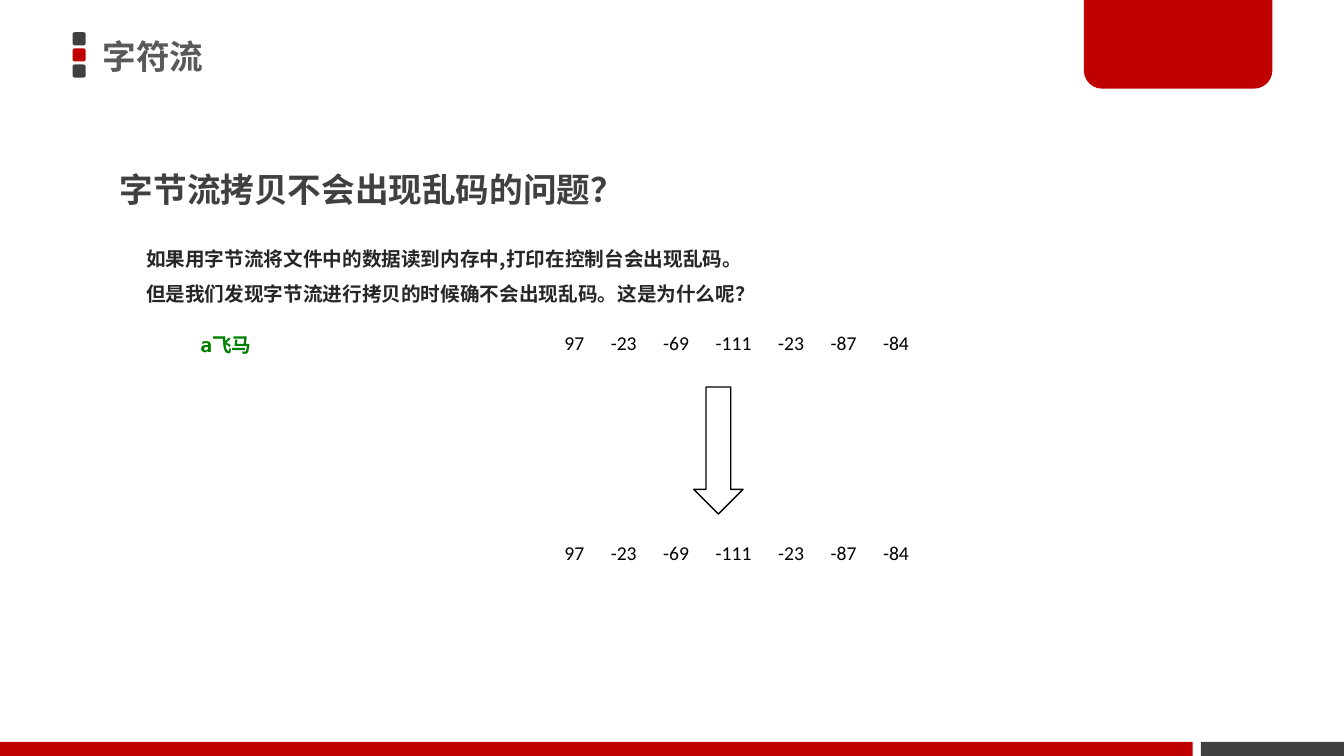
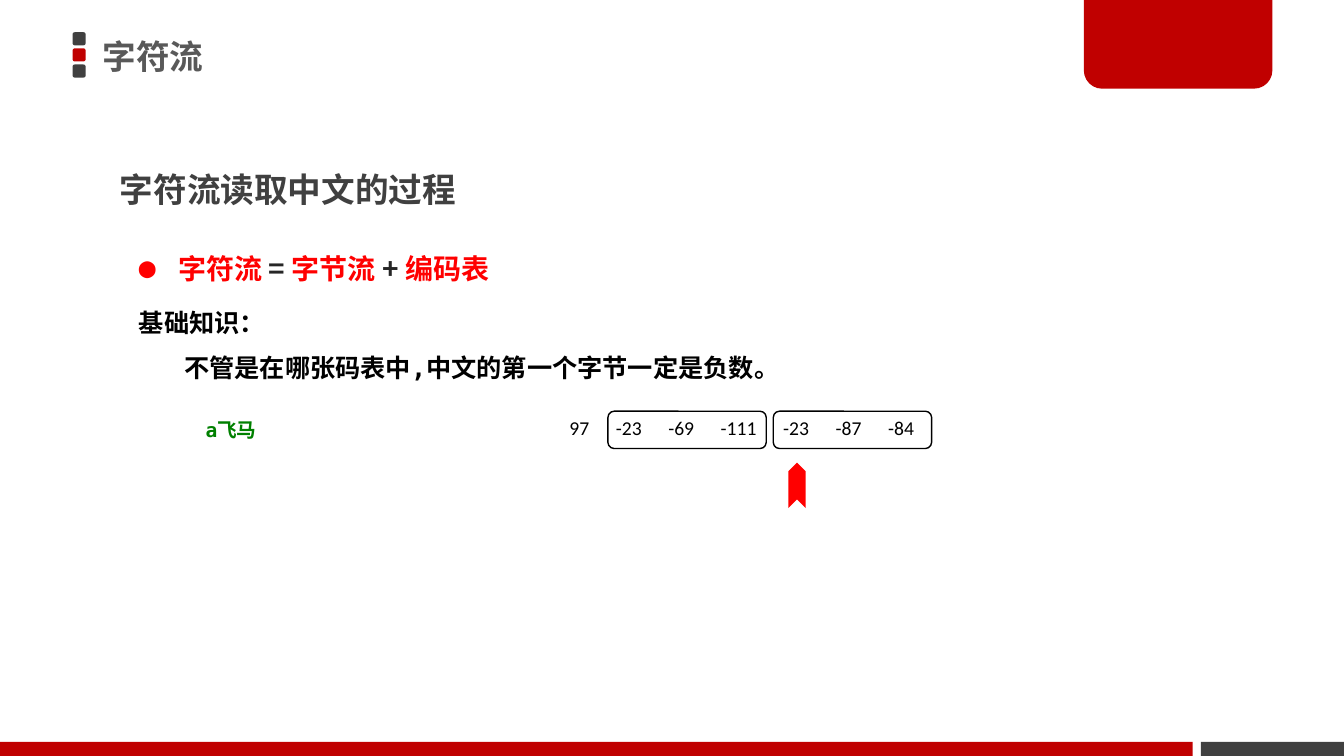
from lxml import etree
from pptx import Presentation
from pptx.dml.color import RGBColor
from pptx.enum.shapes import MSO_SHAPE
from pptx.enum.text import MSO_ANCHOR, PP_ALIGN
from pptx.oxml.ns import qn
from pptx.util import Inches, Pt

RECT = MSO_SHAPE.RECTANGLE
ROUND = MSO_SHAPE.ROUNDED_RECTANGLE
TAB = MSO_SHAPE.ROUND_2_SAME_RECTANGLE
DOWN = MSO_SHAPE.DOWN_ARROW
CHEVRON = MSO_SHAPE.CHEVRON
TOP, MIDDLE = MSO_ANCHOR.TOP, MSO_ANCHOR.MIDDLE
LEFT = PP_ALIGN.LEFT

RED, DARK, GREY = "C00000", "404040", "595959"
INK, BLACK, WHITE = "262626", "000000", "FFFFFF"
BRIGHT, GREEN = "FF0000", "008000"
SANS, MONO, PLAIN = "Noto Sans CJK JP", "DejaVu Sans Mono", "Calibri"

TITLE = "字符流"
SAMPLE = "a飞马"
BYTES = [97, -23, -69, -111, -23, -87, -84]
# Tab stops: two groups of three bytes after the first number
STOPS = [start + 0.52 * i for start in (0.46, 2.12) for i in range(3)]


def color(code):
    return RGBColor.from_string(code)


def put(frame, paras, size=14, font=SANS, ink=BLACK, bold=True,
        space=1.0, anchor=TOP, indents=(), bullet=None, stops=()):
    """Each paragraph is a string or a list of (words, colour) runs."""
    frame.word_wrap = True
    frame.vertical_anchor = anchor
    for i, runs in enumerate(paras):
        para = frame.paragraphs[0] if i == 0 else frame.add_paragraph()
        para.alignment = LEFT
        para.line_spacing = space
        props = para._p.get_or_add_pPr()
        if indents:
            props.set("marL", str(Inches(indents[i])))
        if bullet:
            props.set("indent", str(-Inches(indents[i])))
            etree.SubElement(props, qn("a:buFont"), typeface=MONO)
            etree.SubElement(props, qn("a:buChar"), char=bullet)
        if stops:
            tabs = etree.SubElement(props, qn("a:tabLst"))
            for stop in stops:
                etree.SubElement(tabs, qn("a:tab"),
                                 pos=str(Inches(stop)), algn="l")
        for words, tint in [(runs, ink)] if isinstance(runs, str) else runs:
            run = para.add_run()
            run.text = words
            run.font.size = Pt(size)
            run.font.bold = bold
            run.font.name = font
            run.font.color.rgb = color(tint)
            etree.SubElement(run._r.get_or_add_rPr(), qn("a:ea"),
                             typeface=SANS)


class Deck:
    def __init__(self):
        self.show = Presentation()
        self.show.slide_width = Inches(13.33)
        self.show.slide_height = Inches(7.5)
        self.slide = None

    def start(self, topic, font):
        self.slide = self.show.slides.add_slide(self.show.slide_layouts[6])
        # Three squares beside the title
        for i, fill in enumerate((DARK, RED, DARK)):
            self.shape(ROUND, 0.72, 0.32 + 0.16 * i, 0.13, 0.13, fill=fill)
        # Footer bands and corner tab
        self.shape(RECT, 11.91, 7.36, 1.42, 0.14, fill=DARK)
        corner = self.shape(TAB, 10.75, -0.03, 1.87, 0.91, fill=RED)
        corner.adjustments[0], corner.adjustments[1] = 0, 0.2
        self.shape(RECT, 0, 7.36, 11.83, 0.14, fill=RED)
        # Title and topic
        self.text([TITLE], 0.92, -0.03, 7.85, 1.18,
                  size=24, ink=GREY, anchor=MIDDLE)
        self.text([topic], 1.09, 1.43, 10.35, 0.65,
                  size=24, font=font, ink=DARK, space=1.5)

    def shape(self, kind, x, y, w, h, fill=None, line=None):
        item = self.slide.shapes.add_shape(
            kind, Inches(x), Inches(y), Inches(w), Inches(h))
        item.shadow.inherit = False
        if fill:
            item.fill.solid()
            item.fill.fore_color.rgb = color(fill)
        else:
            item.fill.background()
        if line:
            item.line.color.rgb = color(line)
            item.line.width = Pt(1)
        else:
            item.line.fill.background()
        return item

    def text(self, paras, x, y, w, h, **style):
        box = self.slide.shapes.add_textbox(
            Inches(x), Inches(y), Inches(w), Inches(h))
        put(box.text_frame, paras, **style)
        return box

    def label(self, words, x, y):
        item = self.shape(RECT, x, y, 0.86, 0.34, fill=WHITE)
        put(item.text_frame, [words], font=MONO, ink=GREEN, anchor=MIDDLE)

    def bytes(self, x, y):
        row = "\t".join(str(value) for value in BYTES)
        box = self.text([row], x, y, 3.64, 0.34,
                        font=PLAIN, bold=False, stops=STOPS)
        box.text_frame.margin_right = 0


deck = Deck()

# Slide 1: copying bytes
deck.start("字节流拷贝不会出现乱码的问题？", MONO)
deck.text(["如果用字节流将文件中的数据读到内存中,打印在控制台会出现乱码。",
           "但是我们发现字节流进行拷贝的时候确不会出现乱码。这是为什么呢？"],
          1.09, 2.28, 10.92, 0.77, ink=INK, space=1.5, indents=(0.26, 0.26))
deck.label(SAMPLE, 1.89, 3.25)
for y in (3.23, 5.32):
    deck.bytes(5.5, y)
deck.shape(DOWN, 6.88, 3.84, 0.49, 1.26, line=BLACK)

# Slide 2: reading Chinese characters
deck.start("字符流读取中文的过程", SANS)
deck.text([[("字符流 ", BRIGHT), ("= ", INK), ("字节流 ", BRIGHT),
            ("+ ", INK), ("编码表", BRIGHT)]],
          1.28, 2.28, 9.66, 0.56, size=20, space=1.5,
          indents=(0.39,), bullet="●")
deck.text(["基础知识：", "不管是在哪张码表中,中文的第一个字节一定是负数。"],
          1.28, 2.85, 9.66, 0.97, size=18, font=MONO, space=1.5,
          indents=(0, 0.45))
deck.label(SAMPLE, 1.94, 4.09)
deck.bytes(5.55, 4.08)
# One frame per Chinese character, and the pointer
for x in (6.03, 7.67):
    deck.shape(ROUND, x, 4.08, 1.57, 0.37, line=BLACK)
deck.shape(CHEVRON, 7.68, 4.73, 0.45, 0.17, fill=BRIGHT).rotation = 270

deck.show.save("out.pptx")
